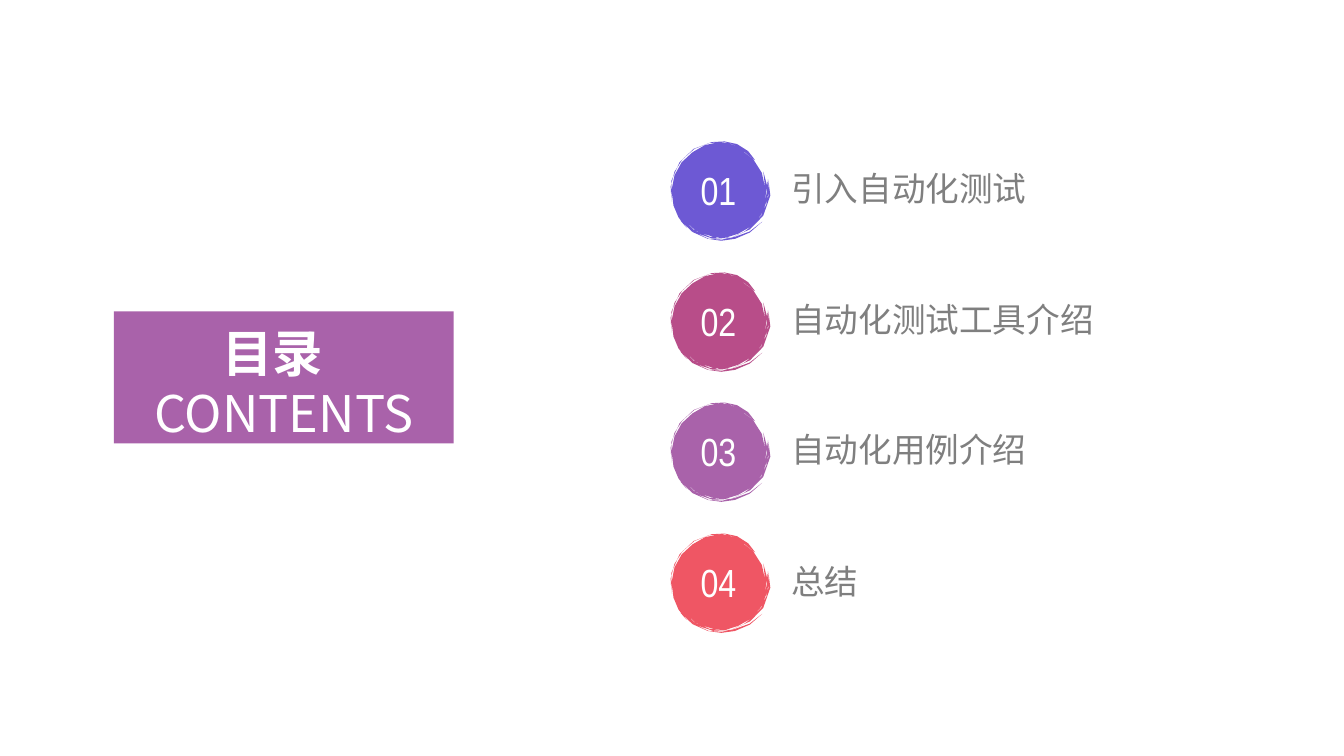
"""Build a contents slide with four numbered brush badges."""
import math

from pptx import Presentation
from pptx import util as u
from pptx.dml.color import RGBColor
from pptx.enum import text as t
from pptx.oxml import parse_xml
from pptx.oxml.ns import nsdecls

PURPLE = RGBColor(0xA9, 0x62, 0xAA)
INDIGO = RGBColor(0x6D, 0x59, 0xD4)
MAGENTA = RGBColor(0xB8, 0x4D, 0x89)
CORAL = RGBColor(0xEF, 0x56, 0x64)
WHITE = RGBColor(0xFF, 0xFF, 0xFF)
GRAY = RGBColor(0x7F, 0x7F, 0x7F)
CJK_FONT = "Noto Sans CJK SC"

HEADING = ["目录", "CONTENTS"]
CHAPTERS = [
    ("01", "引入自动化测试", INDIGO),
    ("02", "自动化测试工具介绍", MAGENTA),
    ("03", "自动化用例介绍", PURPLE),
    ("04", "总结", CORAL),
]
BRUSH_CENTER = (51, 50)
BRUSH_OUTLINE = [
    (100, 56), (93, 75), (84, 84), (98, 64), (99, 39), (96, 62), (99, 46),
    (95, 31), (97, 48), (85, 19), (64, 7), (87, 20), (80, 11), (69, 4),
    (44, 2), (12, 22), (4, 61), (15, 19), (57, 2), (74, 8), (51, 2),
    (25, 12), (7, 35), (6, 65), (19, 87), (13, 80), (40, 98), (67, 98),
    (94, 81), (67, 96), (41, 98), (28, 92), (63, 97), (42, 96), (14, 77),
    (49, 97), (70, 93), (84, 85), (65, 96), (95, 75), (102, 55), (100, 39),
]
LARGEST_TURN = 0.45

PX = 9144
SLIDE_SIZE = (1333, 750)
HEADING_BOX = (113, 309, 337, 131)
HEADING_SHIFT = 22
BADGE_LEFT, NUMBER_LEFT, LABEL_LEFT = 662, 685, 775
FIRST_TOP, LAST_TOP = 139, 528
LABEL_PADDING = 20


def px(*lengths):
    """Turn px lengths into EMU."""
    return [u.Emu(round(length * PX)) for length in lengths]


def write(shape, lines, *, size, color, font, bold_first=False, wrap=False,
          align=t.PP_ALIGN.LEFT, line_spacing=None):
    """Fill a shape with formatted lines of text."""
    frame = shape.text_frame
    frame.text = "\n".join(lines)
    frame.word_wrap = wrap
    frame.auto_size = t.MSO_AUTO_SIZE.NONE
    frame.vertical_anchor = t.MSO_ANCHOR.MIDDLE
    for index, paragraph in enumerate(frame.paragraphs):
        paragraph.alignment = align
        if line_spacing:
            paragraph.line_spacing = line_spacing
        run = paragraph.runs[0]
        run.font.name = font
        run.font.size = u.Pt(size)
        run.font.bold = bold_first and index == 0
        run.font.color.rgb = color
        run.font._element.find("{*}latin").addnext(
            parse_xml(f'<a:ea {nsdecls("a")} typeface="{CJK_FONT}"/>'))
    return frame


def brush_points(left, top):
    """Return the brush outline with long steps bent around its center."""
    polar = [(math.hypot(x - BRUSH_CENTER[0], y - BRUSH_CENTER[1]),
              math.atan2(y - BRUSH_CENTER[1], x - BRUSH_CENTER[0]))
             for x, y in BRUSH_OUTLINE]
    points = []
    for (radius, angle), (next_radius, next_angle) in zip(polar, polar[1:] + polar[:1]):
        turn = math.remainder(next_angle - angle, math.tau)
        steps = max(1, math.ceil(abs(turn) / LARGEST_TURN))
        for step in range(steps):
            part = step / steps
            reach = radius + (next_radius - radius) * part
            heading = angle + turn * part
            points.append(px(left + BRUSH_CENTER[0] + reach * math.cos(heading),
                             top + BRUSH_CENTER[1] + reach * math.sin(heading)))
    return points


def add_heading(slide):
    """Place the heading in the title placeholder."""
    title = slide.shapes.title
    title.left, title.top, title.width, title.height = px(*HEADING_BOX)
    title.fill.solid()
    title.fill.fore_color.rgb = PURPLE
    frame = write(title, HEADING, size=36, color=WHITE, font=CJK_FONT, bold_first=True,
                  wrap=True, align=t.PP_ALIGN.CENTER, line_spacing=u.Pt(43))
    (frame.margin_left, frame.margin_right,
     frame.margin_top, frame.margin_bottom) = px(10, 10 + HEADING_SHIFT, 10, 0)
    properties = frame.paragraphs[1]._p.get_or_add_pPr()
    properties.set("marL", str(HEADING_SHIFT * PX))
    properties.set("indent", "0")


def add_chapter(slide, top, number, label, color):
    """Place one numbered badge and its label."""
    badge = slide.shapes.add_group_shape()
    start, *rest = brush_points(BADGE_LEFT, top)
    builder = badge.shapes.build_freeform(*start)
    builder.add_line_segments(rest, close=True)
    brush = builder.convert_to_shape()
    brush.shadow.inherit = False
    brush.fill.solid()
    brush.fill.fore_color.rgb = color
    brush.line.fill.background()
    write(badge.shapes.add_textbox(*px(NUMBER_LEFT, top + 21, 61, 57)), [number],
          size=28, color=WHITE, font="Arial Narrow", wrap=True)
    width = LABEL_PADDING + round(len(label) * 100 / 3)
    write(slide.shapes.add_textbox(*px(LABEL_LEFT, top + 23, width, 50)), [label],
          size=24, color=GRAY, font="Arial")


def main():
    """Create the presentation and save it."""
    presentation = Presentation()
    presentation.slide_width, presentation.slide_height = px(*SLIDE_SIZE)
    slide = presentation.slides.add_slide(presentation.slide_layouts.get_by_name("Title Only"))
    add_heading(slide)
    pitch = (LAST_TOP - FIRST_TOP) / (len(CHAPTERS) - 1)
    for index, chapter in enumerate(CHAPTERS):
        add_chapter(slide, round(FIRST_TOP + index * pitch), *chapter)
    presentation.save("out.pptx")


if __name__ == "__main__":
    main()
